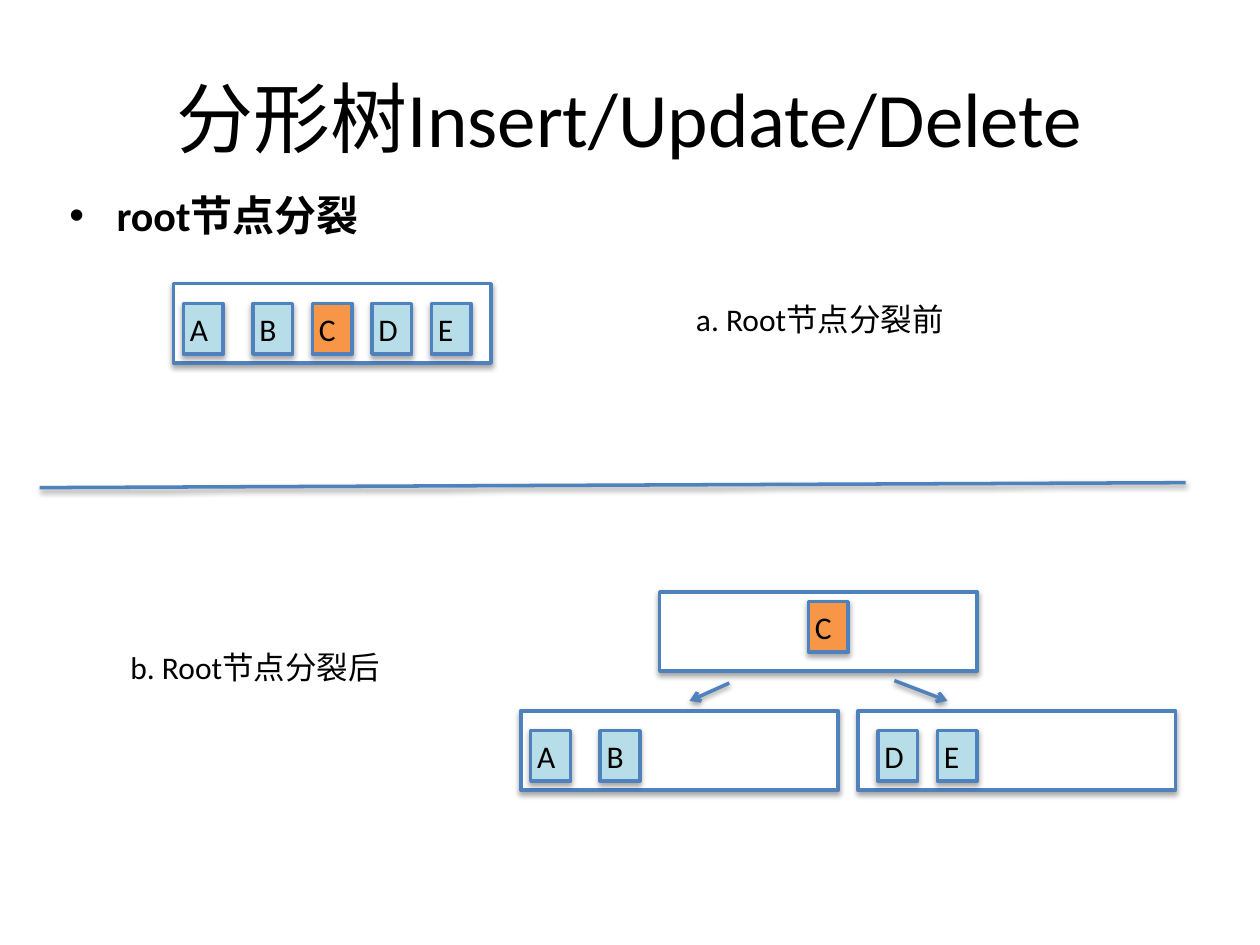
"""Builds a slide on how the root node of a fractal tree splits."""
from lxml import etree
from pptx import Presentation
from pptx.dml.color import RGBColor
from pptx.enum import shapes, text
from pptx.oxml import ns
from pptx.util import Cm, Pt

BLACK = RGBColor(0x00, 0x00, 0x00)
WHITE = RGBColor(0xFF, 0xFF, 0xFF)
BLUE = RGBColor(0x4F, 0x81, 0xBD)
PALE_BLUE = RGBColor(0xB7, 0xDE, 0xE8)
ORANGE = RGBColor(0xF7, 0x96, 0x46)
FONT = "Calibri"
INSET = Cm(0.13)
NODE_SIZE = (6.4, 1.6)
KEY_SIZE = (0.8, 1.02)
PIVOT = "C"


def add_element(parent, tag, **attributes):
    """Append a DrawingML element and return it."""
    return etree.SubElement(parent, ns.qn(tag), attributes)


def add_shadow(properties, alpha, distance):
    """Give shape properties a soft shadow that falls straight down."""
    effects = properties.find(ns.qn("a:effectLst"))
    if effects is None:
        effects = add_element(properties, "a:effectLst")
    shadow = add_element(effects, "a:outerShdw", blurRad=str(Pt(3)),
                         dist=str(Pt(distance)), dir="5400000", rotWithShape="0")
    color = add_element(shadow, "a:srgbClr", val=str(BLACK))
    add_element(color, "a:alpha", val=str(alpha * 1000))


def write(frame, words, size, bold=False, align=text.PP_ALIGN.LEFT,
          anchor=text.MSO_ANCHOR.TOP):
    """Write one run into a text frame and return its paragraph."""
    frame.word_wrap = True
    frame.vertical_anchor = anchor
    frame.margin_left = frame.margin_right = INSET
    frame.margin_top = frame.margin_bottom = INSET
    paragraph = frame.paragraphs[0]
    paragraph.alignment = align
    run = paragraph.add_run()
    run.text = words
    run.font.name = FONT
    run.font.size = Pt(size)
    run.font.bold = bold
    run.font.color.rgb = BLACK
    return paragraph


def add_title(slide, words):
    """Place and fill the title placeholder."""
    title = slide.shapes.title
    title.left, title.top = Cm(1.27), Cm(0.76)
    title.width, title.height = Cm(22.86), Cm(3.18)
    write(title.text_frame, words, 44, align=text.PP_ALIGN.CENTER,
          anchor=text.MSO_ANCHOR.MIDDLE)


def add_label(slide, words, left, top, width, height=1.03, size=18, bold=False):
    """Add a text box and return its paragraph."""
    label = slide.shapes.add_textbox(Cm(left), Cm(top), Cm(width), Cm(height))
    return write(label.text_frame, words, size, bold)


def add_bullet(paragraph):
    """Turn a paragraph into a bullet with a hanging indent."""
    paragraph.space_before = Pt(7)
    properties = paragraph._p.get_or_add_pPr()
    properties.set("marL", str(Cm(0.95)))
    properties.set("indent", str(-Cm(0.95)))
    add_element(properties, "a:buFont", typeface="Arial")
    add_element(properties, "a:buChar", char="•")


def add_box(slide, left, top, size, fill):
    """Add an outlined rectangle with a shadow."""
    box = slide.shapes.add_shape(shapes.MSO_SHAPE.RECTANGLE,
                                 Cm(left), Cm(top), *map(Cm, size))
    box.fill.solid()
    box.fill.fore_color.rgb = fill
    box.line.color.rgb = BLUE
    box.line.width = Pt(2)
    box.shadow.inherit = False
    add_shadow(box._element.spPr, 35, 1.8)
    return box


def add_node(slide, left, top, keys, key_top=0.4):
    """Add a tree node with its keys, given as letters and offsets."""
    add_box(slide, left, top, NODE_SIZE, WHITE)
    for letter, offset in keys.items():
        fill = ORANGE if letter == PIVOT else PALE_BLUE
        key = add_box(slide, left + offset, top + key_top, KEY_SIZE, fill)
        write(key.text_frame, letter, 18, anchor=text.MSO_ANCHOR.MIDDLE)


def add_line(slide, start, end, arrow=False):
    """Add a straight line, with an open arrowhead if wanted."""
    line = slide.shapes.add_connector(shapes.MSO_CONNECTOR.STRAIGHT,
                                      *map(Cm, start + end))
    line.line.color.rgb = BLUE
    line.line.width = Pt(2)
    if arrow:
        add_element(line.line._get_or_add_ln(), "a:tailEnd", type="arrow")
    add_shadow(line._element.spPr, 38, 1.6)


def main():
    """Build and save the slide."""
    deck = Presentation()
    deck.slide_width, deck.slide_height = Cm(25.4), Cm(19.05)
    slide = deck.slides.add_slide(deck.slide_layouts[5])
    add_title(slide, "分形树Insert/Update/Delete")

    add_node(slide, 3.5, 5.72, {"A": 0.2, "B": 1.6, "C": 2.8, "D": 4, "E": 5.2})
    add_node(slide, 10.5, 14.33, {"A": 0.2, "B": 1.6})
    add_node(slide, 17.3, 14.33, {"D": 0.4, "E": 1.6})
    add_node(slide, 13.3, 11.93, {"C": 3}, key_top=0.2)
    add_line(slide, (14.7, 13.77), (13.9, 14.13), arrow=True)
    add_line(slide, (18.03, 13.72), (19.1, 14.13), arrow=True)

    add_bullet(add_label(slide, "root节点分裂", 1.27, 3.7, 22.86, 13.3, 24, True))
    add_label(slide, "a. Root节点分裂前", 13.9, 5.92, 5.28)
    add_label(slide, "b. Root节点分裂后", 2.5, 12.93, 6.58)
    add_line(slide, (0.8, 9.83), (23.9, 9.73))
    deck.save("out.pptx")


main()
